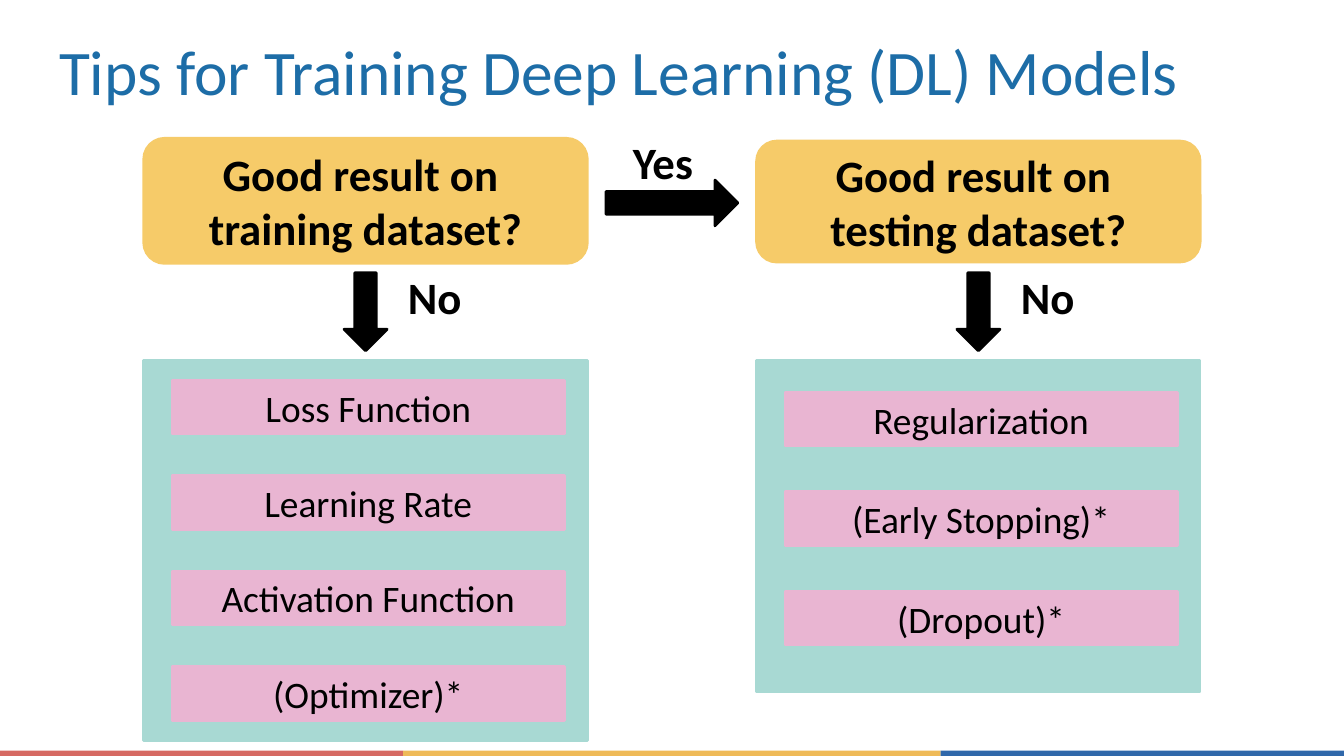
"""Build the decision slide on tips for training deep learning models."""
from pptx import Presentation
from pptx.dml.color import RGBColor
from pptx.enum.shapes import MSO_SHAPE as Shape
from pptx.enum.text import MSO_ANCHOR as Anchor, PP_ALIGN as Align
from pptx.util import Inches, Pt

BLACK = RGBColor(0x00, 0x00, 0x00)
TITLE_BLUE = RGBColor(0x1D, 0x6D, 0xA7)
YELLOW = RGBColor(0xF6, 0xCB, 0x69)
TEAL = RGBColor(0xA8, 0xD9, 0xD3)
PINK = RGBColor(0xE9, 0xB5, 0xD2)
STRIPES = [
    (RGBColor(0xD6, 0x69, 0x62), 0, 0.3),
    (RGBColor(0xEF, 0xBA, 0x57), 0.3, 0.7),
    (RGBColor(0x30, 0x68, 0xAA), 0.7, 1),
]
FONT = "Calibri"

TITLE = "Tips for Training Deep Learning (DL) Models"
BRANCHES = [
    {
        "question": ["Good result on ", "training dataset?"],
        "question_top": 1.03, "question_height": 0.93,
        "tips": ["Loss Function", "Learning Rate", "Activation Function", "(Optimizer)*"],
        "panel_height": 2.83, "first_tip": 2.83, "tip_step": 0.71,
    },
    {
        "question": ["Good result on ", "testing dataset?"],
        "question_top": 1.05, "question_height": 0.9,
        "tips": ["Regularization", "(Early Stopping)*", "(Dropout)*"],
        "panel_height": 2.47, "first_tip": 2.92, "tip_step": 0.74,
    },
]

WIDTH = 10
HEIGHT = WIDTH * 9 / 16
STRIPE_HEIGHT = 0.04
COLUMN_LEFT, COLUMN_STEP, COLUMN_WIDTH = 1.07, 4.56, 3.3
PANEL_TOP = 2.68
TIP_WIDTH, TIP_HEIGHT = 2.92, 0.4
ARROW_TOP, ARROW_WIDTH, ARROW_LENGTH = 2.03, 0.32, 0.58


def write(frame, lines, size, bold=False, color=BLACK, align=Align.CENTER):
    frame.word_wrap = True
    frame.vertical_anchor = Anchor.MIDDLE
    paragraph = frame.paragraphs[0]
    paragraph.alignment = align
    for index, line in enumerate(lines):
        if index:
            paragraph.add_line_break()
        run = paragraph.add_run()
        run.text = line
        run.font.name, run.font.size, run.font.bold = FONT, Pt(size), bold
        run.font.color.rgb = color


def draw(slide, kind, left, top, width, height, color, outlined=True):
    shape = slide.shapes.add_shape(kind, *map(Inches, (left, top, width, height)))
    shape.shadow.inherit = False
    shape.fill.solid()
    shape.fill.fore_color.rgb = color
    if outlined:
        shape.line.color.rgb = color
        shape.line.width = Pt(1.5)
    else:
        shape.line.fill.background()
    return shape


def add_answer(slide, answer, left, top, align=Align.CENTER):
    label = slide.shapes.add_textbox(*map(Inches, (left, top, 0.71, 0.34)))
    write(label.text_frame, [answer], 24, bold=True, align=align)


def add_branch(slide, branch, left):
    question = draw(slide, Shape.ROUNDED_RECTANGLE, left, branch["question_top"],
                    COLUMN_WIDTH, branch["question_height"], YELLOW)
    write(question.text_frame, branch["question"], 24, bold=True)

    center = left + COLUMN_WIDTH / 2
    draw(slide, Shape.DOWN_ARROW, center - ARROW_WIDTH / 2, ARROW_TOP,
         ARROW_WIDTH, ARROW_LENGTH, BLACK)
    add_answer(slide, "No", center + 0.16, 2.04)

    draw(slide, Shape.RECTANGLE, left, PANEL_TOP, COLUMN_WIDTH, branch["panel_height"], TEAL)
    for row, tip in enumerate(branch["tips"]):
        box = draw(slide, Shape.RECTANGLE, left + 0.21,
                   branch["first_tip"] + row * branch["tip_step"],
                   TIP_WIDTH, TIP_HEIGHT, PINK)
        write(box.text_frame, [tip], 20)


def main():
    deck = Presentation()
    deck.slide_width, deck.slide_height = Inches(WIDTH), Inches(HEIGHT)
    slide = deck.slides.add_slide(deck.slide_layouts[5])

    for color, start, end in STRIPES:
        draw(slide, Shape.RECTANGLE, start * WIDTH, HEIGHT - STRIPE_HEIGHT,
             (end - start) * WIDTH, STRIPE_HEIGHT, color, outlined=False)

    title = slide.shapes.title
    title.left, title.top, title.width, title.height = map(Inches, (0.34, 0.2, 9.32, 0.64))
    write(title.text_frame, [TITLE], 34, color=TITLE_BLUE, align=Align.LEFT)

    for column, branch in enumerate(BRANCHES):
        add_branch(slide, branch, COLUMN_LEFT + column * COLUMN_STEP)

    draw(slide, Shape.RIGHT_ARROW, 4.51, 1.34, 0.98, 0.34, BLACK)
    add_answer(slide, "Yes", 4.61, 1.03, Align.LEFT)

    deck.save("out.pptx")


if __name__ == "__main__":
    main()
